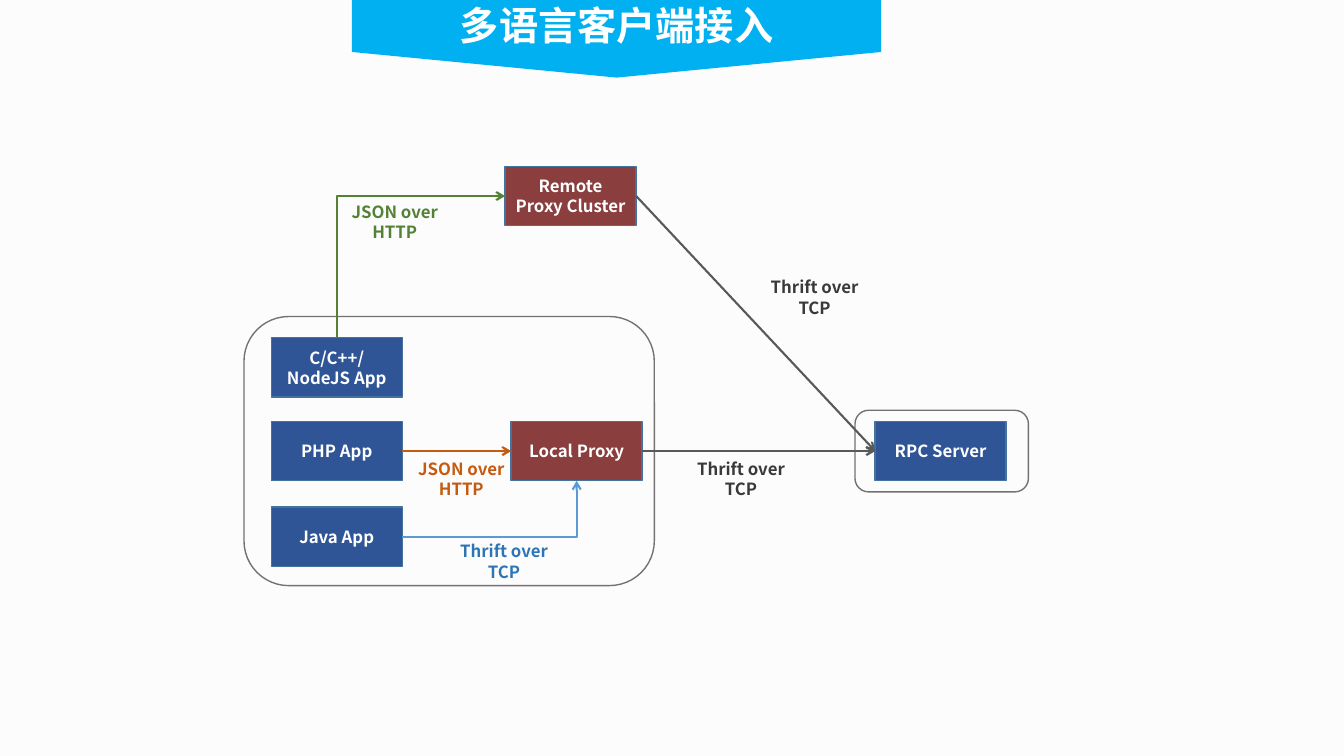
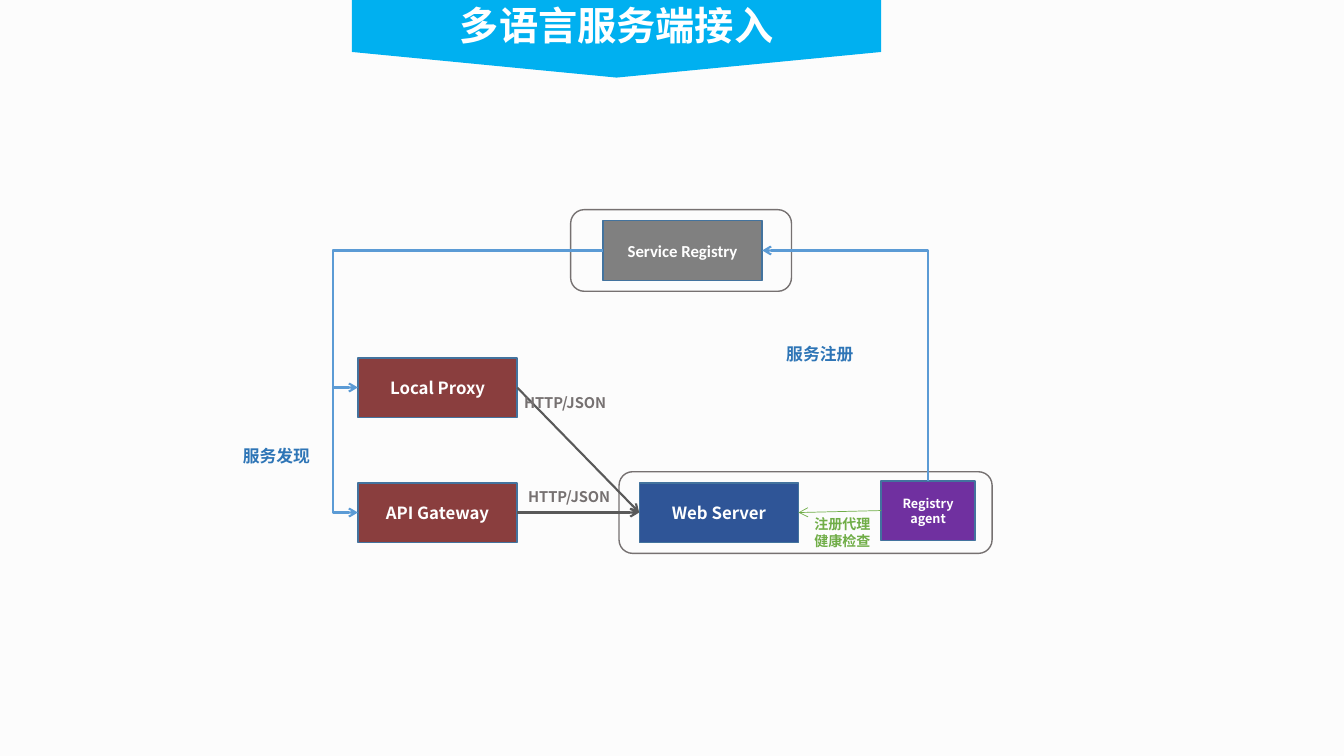
from lxml.etree import SubElement
from pptx import Presentation
from pptx.dml.color import RGBColor
from pptx.enum.shapes import MSO_CONNECTOR, MSO_SHAPE
from pptx.enum.text import MSO_ANCHOR, PP_ALIGN
from pptx.oxml.ns import qn
from pptx.util import Inches, Pt

PAPER = RGBColor(0xFC, 0xFC, 0xFC)
WHITE = RGBColor(0xFF, 0xFF, 0xFF)
CYAN = RGBColor(0x00, 0xB0, 0xF0)
NAVY = RGBColor(0x2F, 0x55, 0x97)
EDGE = RGBColor(0x43, 0x73, 0x9E)
WINE = RGBColor(0x8A, 0x3E, 0x3E)
GRAY = RGBColor(0x80, 0x80, 0x80)
PLUM = RGBColor(0x70, 0x30, 0xA0)
STONE = RGBColor(0x76, 0x71, 0x71)
SLATE = RGBColor(0x59, 0x59, 0x59)
COAL = RGBColor(0x3B, 0x38, 0x38)
SKY = RGBColor(0x5B, 0x9B, 0xD5)
BLUE = RGBColor(0x2E, 0x75, 0xB6)
RUST = RGBColor(0xC5, 0x5A, 0x11)
MOSS = RGBColor(0x54, 0x82, 0x35)
LEAF = RGBColor(0x70, 0xAD, 0x47)

SANS = "Noto Sans CJK SC"
TOP, LEFT, BASE, RIGHT = range(4)
MID, START = PP_ALIGN.CENTER, PP_ALIGN.LEFT

deck = Presentation()
deck.slide_width, deck.slide_height = Inches(13.33), Inches(7.5)
COL = deck.slide_width / 133.3
ROW = deck.slide_height / 75
TALL = 5.9
deck.slide_master.background.fill.solid()
deck.slide_master.background.fill.fore_color.rgb = PAPER


def draw(slide, kind, area, fill=None, edge=None):
    x, y, w, h = area
    shape = slide.shapes.add_shape(
        kind, round(x * COL), round(y * ROW), round(w * COL), round(h * ROW))
    shape.shadow.inherit = False
    if fill is None:
        shape.fill.background()
    else:
        shape.fill.solid()
        shape.fill.fore_color.rgb = fill
    if edge is None:
        shape.line.fill.background()
    else:
        shape.line.color.rgb = edge
        shape.line.width = Pt(1)
    return shape


def write(shape, text, size, color, align=MID, face=SANS):
    frame = shape.text_frame
    frame.word_wrap = True
    frame.text = text
    for para in frame.paragraphs:
        para.alignment = align
        para.font.size = Pt(size)
        para.font.bold = True
        para.font.name = face
        para.font.color.rgb = color


client = {
    "title": "多语言客户端接入",
    "wide": 13,
    "boxes": [
        ("C/C++/NodeJS App", 26.9, 33.5, NAVY),
        ("PHP App", 26.9, 41.8, NAVY),
        ("Java App", 26.9, 50.3, NAVY),
        ("Local Proxy", 50.7, 41.8, WINE),
        ("Remote Proxy Cluster", 50.1, 16.5, WINE),
        ("RPC Server", 86.8, 41.8, NAVY),
    ],
    "frames": [(24.2, 31.4, 40.7, 26.7), (84.8, 40.7, 17.2, 8.1)],
    "links": [
        ("Local Proxy", RIGHT, "RPC Server", LEFT, SLATE, 1.5),
        ("Remote Proxy Cluster", RIGHT, "RPC Server", LEFT, SLATE, 1.5),
        ("PHP App", RIGHT, "Local Proxy", LEFT, RUST, 1.5),
    ],
    "bends": [
        ("Java App", RIGHT, "Local Proxy", BASE, SKY, "tailEnd", None),
        ("Remote Proxy Cluster", LEFT, "C/C++/NodeJS App", TOP, MOSS, "headEnd", None),
    ],
    "notes": [
        ("Thrift over\nTCP", 67.7, 45, 11.6, 12, COAL, MID),
        ("Thrift over\nTCP", 75, 27, 11.6, 12, COAL, MID),
        ("Thrift over\nTCP", 44.2, 53.2, 11.6, 12, BLUE, MID),
        ("JSON over\nHTTP", 40.3, 45, 10.9, 12, RUST, MID),
        ("JSON over\nHTTP", 33.7, 19.5, 10.9, 12, MOSS, MID),
    ],
}

server = {
    "title": "多语言服务端接入",
    "wide": 15.8,
    "boxes": [
        ("Local Proxy", 35.5, 35.5, WINE),
        ("API Gateway", 35.5, 47.9, WINE),
        ("Web Server", 63.4, 47.9, NAVY),
        ("Service Registry", 59.8, 21.9, GRAY),
        ("Registry agent", 87.4, 47.7, PLUM),
    ],
    "frames": [(56.6, 20.8, 21.9, 8.1), (61.4, 46.8, 37, 8.1)],
    "links": [
        ("Local Proxy", RIGHT, "Web Server", LEFT, SLATE, 1.5),
        ("API Gateway", RIGHT, "Web Server", LEFT, SLATE, 1.5),
        ("Registry agent", LEFT, "Web Server", RIGHT, LEAF, 0.5),
    ],
    "bends": [
        ("Service Registry", RIGHT, "Registry agent", TOP, SKY, "headEnd", None),
        ("Service Registry", LEFT, "Local Proxy", LEFT, SKY, "tailEnd", 110300),
        ("Service Registry", LEFT, "API Gateway", LEFT, SKY, "tailEnd", 110300),
    ],
    "notes": [
        ("注册代理\n健康检查", 79.8, 50.7, 9.3, 10, LEAF, START),
        ("服务注册", 77, 33.6, 10.6, 12, BLUE, START),
        ("服务发现", 23.1, 43.7, 10.6, 12, BLUE, START),
        ("HTTP/JSON", 51.4, 47.9, 13.6, 10.5, STONE, START),
        ("HTTP/JSON", 51, 38.6, 13.6, 10.5, STONE, START),
    ],
}

special = {
    "Service Registry": {"face": "Calibri"},
    "Registry agent": {"wide": 9.3, "size": 9},
}

for page in (client, server):
    slide = deck.slides.add_slide(deck.slide_layouts[6])

    banner = draw(slide, MSO_SHAPE.PENTAGON, (57.3, -22.4, 7.7, 52.5), CYAN)
    banner.rotation = 90
    banner.adjustments[0] = 0.33
    title = slide.shapes.add_textbox(
        round(31.2 * COL), round(-0.4 * ROW), round(59.9 * COL), round(5.7 * ROW))
    title.text_frame.margin_left = title.text_frame.margin_right = 0
    write(title, page["title"], 28, WHITE, face="Arial")

    boxes = {}
    for name, x, y, fill in page["boxes"]:
        style = special.get(name, {})
        area = (x, y, style.get("wide", page["wide"]), TALL)
        boxes[name] = draw(slide, MSO_SHAPE.RECTANGLE, area, fill, EDGE)
        boxes[name].text_frame.vertical_anchor = MSO_ANCHOR.MIDDLE
        write(boxes[name], name, style.get("size", 12), WHITE,
              face=style.get("face", SANS))

    for area in page["frames"]:
        draw(slide, MSO_SHAPE.ROUNDED_RECTANGLE, area, edge=STONE)

    lines = [(MSO_CONNECTOR.STRAIGHT, *link, "tailEnd", None)
             for link in page["links"]]
    lines += [(MSO_CONNECTOR.ELBOW, *bend[:5], 1.5, *bend[5:])
              for bend in page["bends"]]
    for kind, first, out, last, into, color, thick, tip, turn in lines:
        line = slide.shapes.add_connector(kind, 0, 0, 0, 0)
        line.begin_connect(boxes[first], out)
        line.end_connect(boxes[last], into)
        line.line.color.rgb = color
        line.line.width = Pt(thick)
        props = line._element.spPr
        SubElement(props.find(qn("a:ln")), qn("a:" + tip), type="arrow")
        SubElement(props, qn("a:effectLst"))
        shape = props.find(qn("a:prstGeom"))
        if turn:
            SubElement(shape.find(qn("a:avLst")), qn("a:gd"),
                       name="adj1", fmla=f"val {turn}")
        elif kind == MSO_CONNECTOR.ELBOW:
            shape.set("prst", "bentConnector2")

    for text, x, y, wide, size, color, align in page["notes"]:
        note = slide.shapes.add_textbox(
            round(x * COL), round(y * ROW), round(wide * COL), round(5 * ROW))
        write(note, text, size, color, align)

deck.save("out.pptx")
